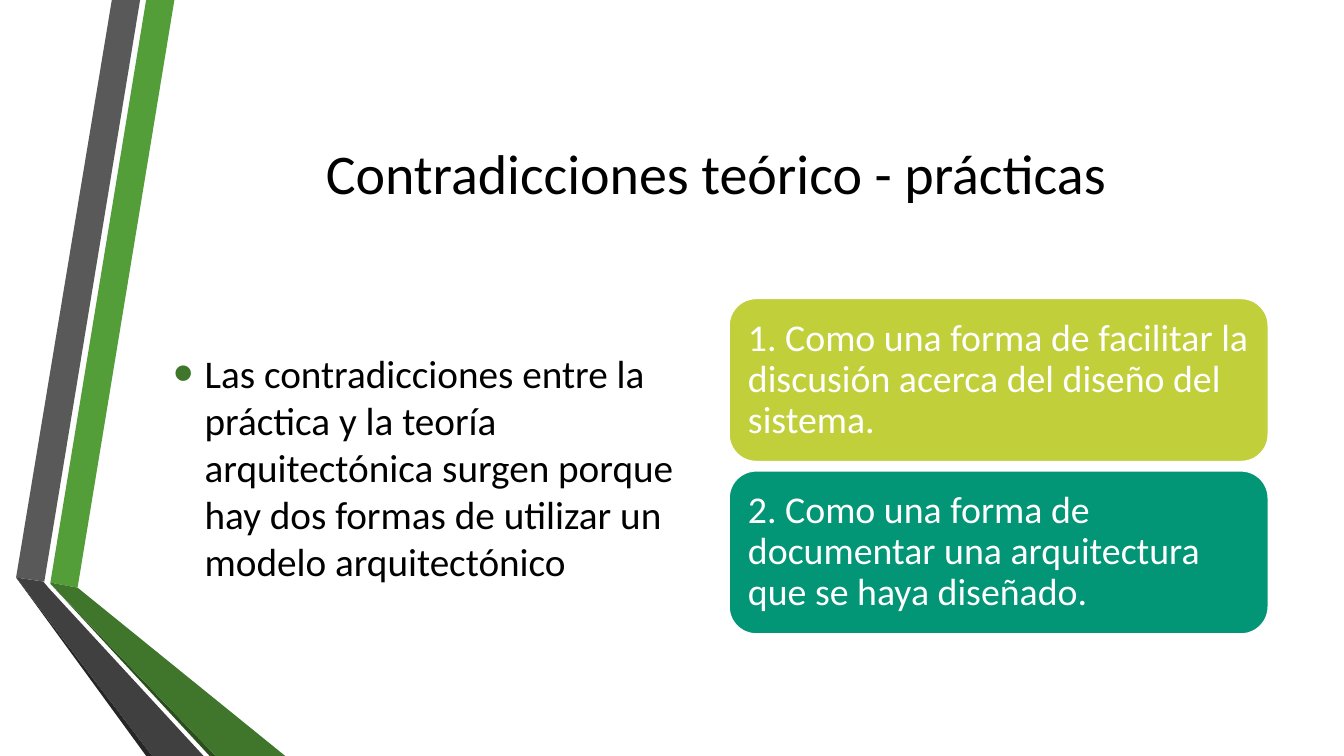
from dataclasses import dataclass

from lxml.etree import SubElement
from pptx import Presentation
from pptx.dml.color import RGBColor
from pptx.enum.shapes import MSO_SHAPE as Preset
from pptx.enum.text import MSO_ANCHOR as Anchor, MSO_AUTO_SIZE as AutoSize, PP_ALIGN as Align
from pptx.oxml.ns import qn
from pptx.shapes.base import BaseShape
from pptx.slide import Slide
from pptx.util import Inches, Pt

BLACK = RGBColor(0x00, 0x00, 0x00)
WHITE = RGBColor(0xFF, 0xFF, 0xFF)
GREEN = RGBColor(0x54, 0x9E, 0x39)
DARK_GREEN = RGBColor(0x3F, 0x76, 0x2B)
DEEP_GREEN = RGBColor(0x2A, 0x4F, 0x1C)
GRAY = RGBColor(0x59, 0x59, 0x59)
DARK_GRAY = RGBColor(0x40, 0x40, 0x40)
DEEP_GRAY = RGBColor(0x26, 0x26, 0x26)
LIME = RGBColor(0xC0, 0xCF, 0x3A)
TEAL = RGBColor(0x02, 0x96, 0x76)

FONT = "Calibri"
CARD_LEFT, CARD_TOP = 7.23, 2.96
CARD_WIDTH, CARD_HEIGHT = 5.35, 1.62
CARD_STEP = 1.71
CARD_INSET = Inches(0.11)


@dataclass(frozen=True)
class Ribbon:
    color: RGBColor
    points: tuple[tuple[float, float], ...]


@dataclass(frozen=True)
class Card:
    color: RGBColor
    text: str


RIBBONS = (
    Ribbon(GREEN, ((0.5, 5.78), (0.77, 5.83), (1.73, 0), (1.45, 0))),
    Ribbon(GRAY, ((1.39, 0), (1.11, 0), (0.16, 5.73), (0.44, 5.77))),
    Ribbon(DEEP_GRAY, ((0.16, 5.73), (1.45, 7.5), (1.51, 7.5))),
    Ribbon(DEEP_GREEN, ((0.5, 5.79), (2.08, 7.5), (2.14, 7.5))),
    Ribbon(DARK_GREEN, ((0.5, 5.79), (2.14, 7.5), (2.83, 7.5), (0.77, 5.83), (0.5, 5.78))),
    Ribbon(DARK_GRAY, ((2.02, 7.5), (0.48, 5.83), (0.43, 5.77), (0.16, 5.73), (1.51, 7.5))),
)

CARDS = (
    Card(LIME, "1. Como una forma de facilitar la discusión acerca del diseño del sistema."),
    Card(TEAL, "2. Como una forma de documentar una arquitectura que se haya diseñado."),
)


def apply_format(target: object, values: dict[str, object]) -> None:
    for name, value in values.items():
        setattr(target, name, value)


def place(box: BaseShape, left: float, top: float, width: float, height: float) -> None:
    apply_format(box, {"left": Inches(left), "top": Inches(top),
                       "width": Inches(width), "height": Inches(height)})


def write_text(box: BaseShape, text: str, size: float, color: RGBColor,
               para_format: dict[str, object]) -> None:
    frame = box.text_frame
    apply_format(frame, {"word_wrap": True, "auto_size": AutoSize.NONE,
                         "vertical_anchor": Anchor.MIDDLE})
    para = frame.paragraphs[0]
    apply_format(para, para_format)
    span = para.add_run()
    span.text = text
    apply_format(span.font, {"name": FONT, "size": Pt(size)})
    span.font.color.rgb = color


def add_bullet(box: BaseShape, color: RGBColor, percent: int) -> None:
    properties = box.text_frame.paragraphs[0]._p.get_or_add_pPr()
    apply_indent = {"marL": Inches(0.31), "indent": Inches(-0.31)}
    for name, value in apply_indent.items():
        properties.set(name, str(value))
    bullet_color = SubElement(properties, qn("a:buClr"))
    SubElement(bullet_color, qn("a:srgbClr"), val=str(color))
    SubElement(properties, qn("a:buSzPct"), val=str(percent * 1000))
    SubElement(properties, qn("a:buFont"), typeface="Arial")
    SubElement(properties, qn("a:buChar"), char="•")


def draw_ribbon(page: Slide, ribbon: Ribbon) -> None:
    start, *others = [(Inches(x), Inches(y)) for x, y in ribbon.points]
    builder = page.shapes.build_freeform(*start)
    builder.add_line_segments(others, close=True)
    shape = builder.convert_to_shape()
    shape.shadow.inherit = False
    shape.fill.solid()
    shape.fill.fore_color.rgb = ribbon.color
    shape.line.fill.background()


def draw_card(page: Slide, card: Card, top: float) -> None:
    shape = page.shapes.add_shape(Preset.ROUNDED_RECTANGLE, Inches(CARD_LEFT), Inches(top),
                                  Inches(CARD_WIDTH), Inches(CARD_HEIGHT))
    shape.shadow.inherit = False
    shape.fill.solid()
    shape.fill.fore_color.rgb = card.color
    shape.line.color.rgb = WHITE
    shape.line.width = Pt(1.25)
    sides = ("left", "top", "right", "bottom")
    apply_format(shape.text_frame, {f"margin_{side}": CARD_INSET for side in sides})
    write_text(shape, card.text, 27, WHITE, {"alignment": Align.LEFT, "line_spacing": 0.9})


def main() -> None:
    deck = Presentation()
    apply_format(deck, {"slide_width": Inches(13.33), "slide_height": Inches(7.5)})
    page = deck.slides.add_slide(deck.slide_layouts[1])

    for ribbon in RIBBONS:
        draw_ribbon(page, ribbon)

    title = page.shapes.title
    place(title, 1.62, 0.75, 10.96, 1.92)
    write_text(title, "Contradicciones teórico - prácticas", 40, BLACK,
               {"alignment": Align.CENTER})

    body = page.placeholders[1]
    place(body, 1.62, 2.92, 5.35, 3.42)
    write_text(body, "Las contradicciones entre la práctica y la teoría arquitectónica surgen "
               "porque hay dos formas de utilizar un modelo arquitectónico", 28, BLACK,
               {"alignment": Align.LEFT, "space_after": Pt(6)})
    add_bullet(body, DARK_GREEN, 145)

    for index, card in enumerate(CARDS):
        draw_card(page, card, CARD_TOP + index * CARD_STEP)

    deck.save("out.pptx")


if __name__ == "__main__":
    main()
